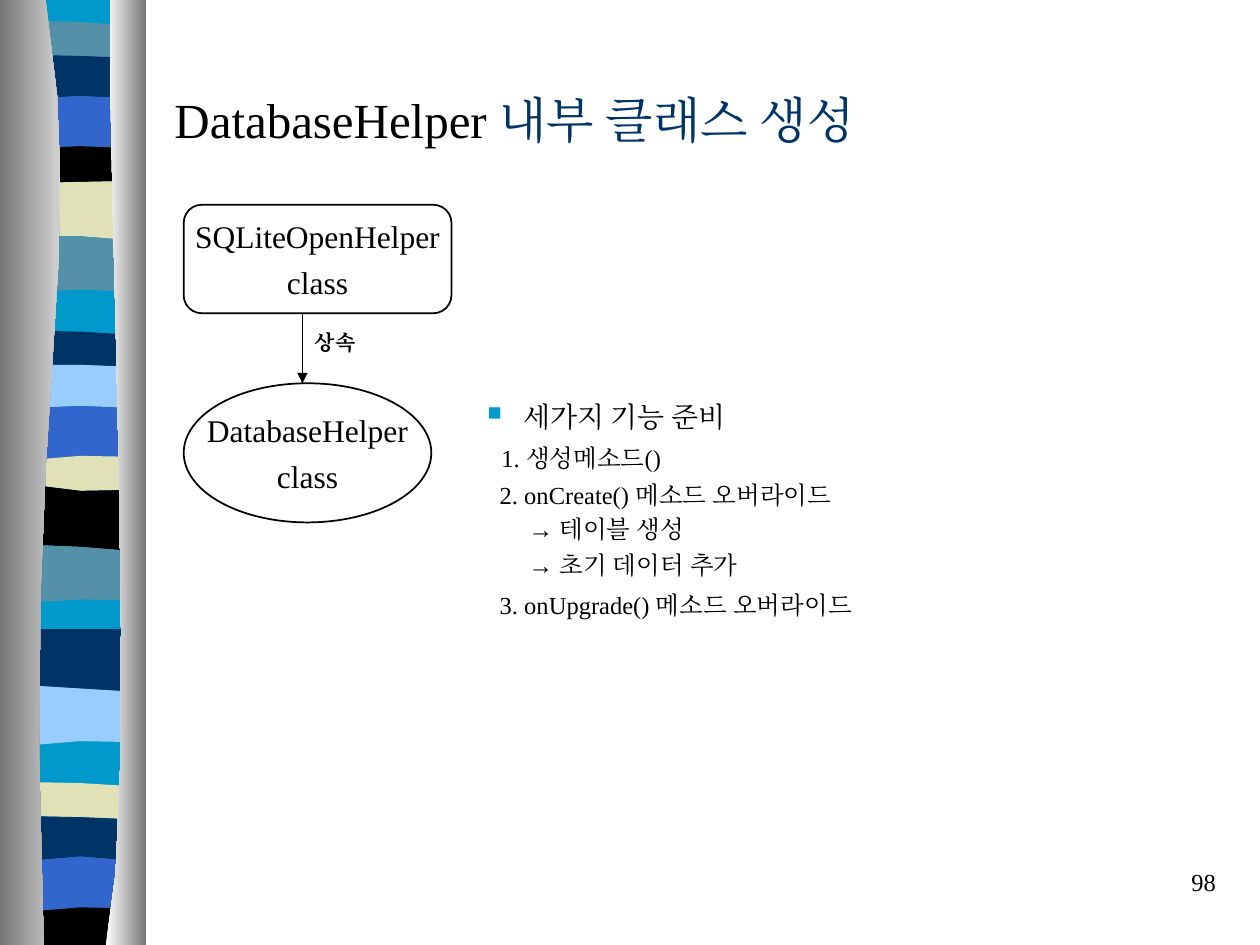
"""Build the slide about creating the DatabaseHelper inner class."""
import lxml.etree
import pptx
import pptx.dml.color
import pptx.enum.shapes
import pptx.enum.text
import pptx.oxml
import pptx.oxml.ns
import pptx.util

Pt = pptx.util.Pt
RGB = pptx.dml.color.RGBColor.from_string
PP_ALIGN = pptx.enum.text.PP_ALIGN
MIDDLE = pptx.enum.text.MSO_ANCHOR.MIDDLE
SHAPE = pptx.enum.shapes.MSO_SHAPE
qn = pptx.oxml.ns.qn

THEME = {
    "serif": "Times New Roman", "sans": "Arial",
    "black": "000000", "white": "FFFFFF", "navy": "003366", "cyan": "0099CC",
    "teal": "5490A8", "blue": "3366CC", "sand": "E1E1B7", "sky": "99CCFF",
    "shade": "767676", "light": "D3D3D3",
    "title": 28, "class": 18, "heading": 16, "body": 14, "label": 12,
}

deck = pptx.Presentation()
deck.slide_width, deck.slide_height = Pt(720), Pt(540)
slide = deck.slides.add_slide(deck.slide_layouts[5])
shapes = slide.shapes


def add_outline(points):
    """Add a closed, unlined freeform through points."""
    corners = [(Pt(x), Pt(y)) for x, y in points]
    builder = shapes.build_freeform(*corners[0], scale=1.0)
    builder.add_line_segments(corners[1:], close=True)
    outline = builder.convert_to_shape()
    outline.shadow.inherit = False
    outline.line.fill.background()
    return outline


def add_run(paragraph, text, size, color="black", face="serif", bold=False):
    """Append formatted text to a paragraph."""
    run = paragraph.add_run()
    run.text = text
    formats = {"name": THEME[face], "size": Pt(THEME[size]), "bold": bold}
    for key, value in formats.items():
        setattr(run.font, key, value)
    run.font.color.rgb = RGB(THEME[color])
    lxml.etree.SubElement(run._r.get_or_add_rPr(), qn("a:ea"), typeface=THEME[face])


stripes = [
    ("cyan", 0, 0, 0), ("teal", 12, 12.5, 14.5), ("navy", 31.5, 32, 33),
    ("blue", 56, 55, 56), ("black", 84.5, 83.5, 84.5), ("sand", 104.5, 104, 103.5),
    ("teal", 135, 135, 137), ("cyan", 166.5, 165.5, 166.5), ("navy", 189, 189.5, 191),
    ("sky", 208.5, 208.5, 209.5), ("blue", 233, 232, 233), ("sand", 262.5, 260.5, 261),
    ("black", 277.5, 280.5, 280), ("teal", 311.5, 312.5, 314.5),
    ("cyan", 344, 342.5, 343), ("navy", 359.5, 359.5, 359.5),
    ("sky", 392, 393.5, 395), ("cyan", 425.5, 423.5, 424),
    ("sand", 447, 447.5, 449), ("navy", 466.5, 467, 468),
    ("blue", 491.5, 489.5, 491.5), ("black", 520.5, 518.5, 519),
]
ribbon = ("cyan", [(4, 0), (82, 0), (82, 540), (4, 540)])
edges = [list(zip((22, 46, 71), heights))
         for heights in [stripe[1:] for stripe in stripes] + [(540, 540, 540)]]
bands = [(stripe[0], top + bottom[::-1])
         for stripe, top, bottom in zip(stripes, edges, edges[1:]) if stripe[0] != "cyan"]
for color, points in [ribbon] + bands:
    band = add_outline(points)
    band.fill.solid()
    band.fill.fore_color.rgb = RGB(THEME[color])

pillars = [
    (0, [(26, 0), (51, 155.5), (12, 213), (25, 540)], ("shade", "light")),
    (83.5, [(63, 0), (60.5, 90), (80, 465), (60.5, 540)], ("white", "shade")),
]
for outer, controls, colors in pillars:
    curve = []
    for t in [i / 8 for i in range(9)]:
        weights = ((1 - t) ** 3, 3 * t * (1 - t) ** 2, 3 * t * t * (1 - t), t ** 3)
        curve.append([sum(w * p[axis] for w, p in zip(weights, controls)) for axis in (0, 1)])
    pillar = add_outline([(outer, 0)] + curve + [(outer, 540)])
    pillar.fill.gradient()
    pillar.fill.gradient_angle = 0
    for stop, color in zip(pillar.fill.gradient_stops, colors):
        stop.color.rgb = RGB(THEME[color])

title = shapes.title
title_box = {"left": Pt(92.5), "top": Pt(36), "width": Pt(612), "height": Pt(64)}
for key, value in title_box.items():
    setattr(title, key, value)
title.text_frame.vertical_anchor = MIDDLE
heading = title.text_frame.paragraphs[0]
heading.alignment = PP_ALIGN.LEFT
add_run(heading, "DatabaseHelper ", "title")
add_run(heading, "내부 클래스 생성", "title", "navy")

classes = [
    (SHAPE.ROUNDED_RECTANGLE, (105, 117, 153, 62), "SQLiteOpenHelper"),
    (SHAPE.OVAL, (105, 219, 141.5, 79.5), "DatabaseHelper"),
]
for kind, box, class_name in classes:
    node = shapes.add_shape(kind, *map(Pt, box))
    node.shadow.inherit = False
    node.fill.solid()
    node.fill.fore_color.rgb = RGB(THEME["white"])
    node.line.color.rgb = RGB(THEME["black"])
    node.line.width = Pt(1)
    node.text_frame.word_wrap = False
    node.text_frame.vertical_anchor = MIDDLE
    name_line = node.text_frame.paragraphs[0]
    kind_line = node.text_frame.add_paragraph()
    kind_line.space_before = Pt(4.5)
    for paragraph, text in ((name_line, class_name), (kind_line, "class")):
        paragraph.alignment = PP_ALIGN.CENTER
        add_run(paragraph, text, "class")

inheritance = shapes.add_connector(
    pptx.enum.shapes.MSO_CONNECTOR.STRAIGHT, Pt(172.8), Pt(179), Pt(172.8), Pt(219))
inheritance.line.color.rgb = RGB(THEME["black"])
inheritance.line.width = Pt(1)
lxml.etree.SubElement(inheritance.line._get_or_add_ln(), qn("a:tailEnd"), type="triangle")
lxml.etree.SubElement(inheritance._element.spPr, qn("a:effectLst"))

labels = [
    ((171.5, 185, 40, 21.5), "상속", "label", PP_ALIGN.CENTER, True),
    ((552, 492, 150, 36), "98", "body", PP_ALIGN.RIGHT, False),
]
for box, text, size, alignment, bold in labels:
    label = shapes.add_textbox(*map(Pt, box)).text_frame
    label.word_wrap = False
    label.paragraphs[0].alignment = alignment
    add_run(label.paragraphs[0], text, size, bold=bold)

features = shapes.add_textbox(Pt(271.5), Pt(224.5), Pt(230), Pt(180)).text_frame
features.word_wrap = True
feature_lines = [
    (20.5, 0, "heading", "세가지 기능 준비"),
    (8, 6, "body", "1. 생성메소드()"),
    (7, 4, "body", "2. onCreate() 메소드 오버라이드"),
    (23.5, 3, "body", "→ 테이블 생성"),
    (23.5, 3.5, "body", "→ 초기 데이터 추가"),
    (7, 6, "body", "3. onUpgrade() 메소드 오버라이드"),
]
for index, (margin, gap, size, text) in enumerate(feature_lines):
    item = features.add_paragraph() if index else features.paragraphs[0]
    item.space_before = Pt(gap)
    properties = item._p.get_or_add_pPr()
    properties.set("marL", str(Pt(margin)))
    if index == 0:
        properties.set("indent", str(-Pt(margin)))
        bullet_color = lxml.etree.SubElement(properties, qn("a:buClr"))
        lxml.etree.SubElement(bullet_color, qn("a:srgbClr"), val=THEME["cyan"])
        lxml.etree.SubElement(properties, qn("a:buSzPct"), val="70000")
        lxml.etree.SubElement(properties, qn("a:buChar"), char="■")
    if text.startswith("→"):
        add_run(item, "→", size, face="sans")
        text = text[1:]
    add_run(item, text, size)

deck.save("out.pptx")
